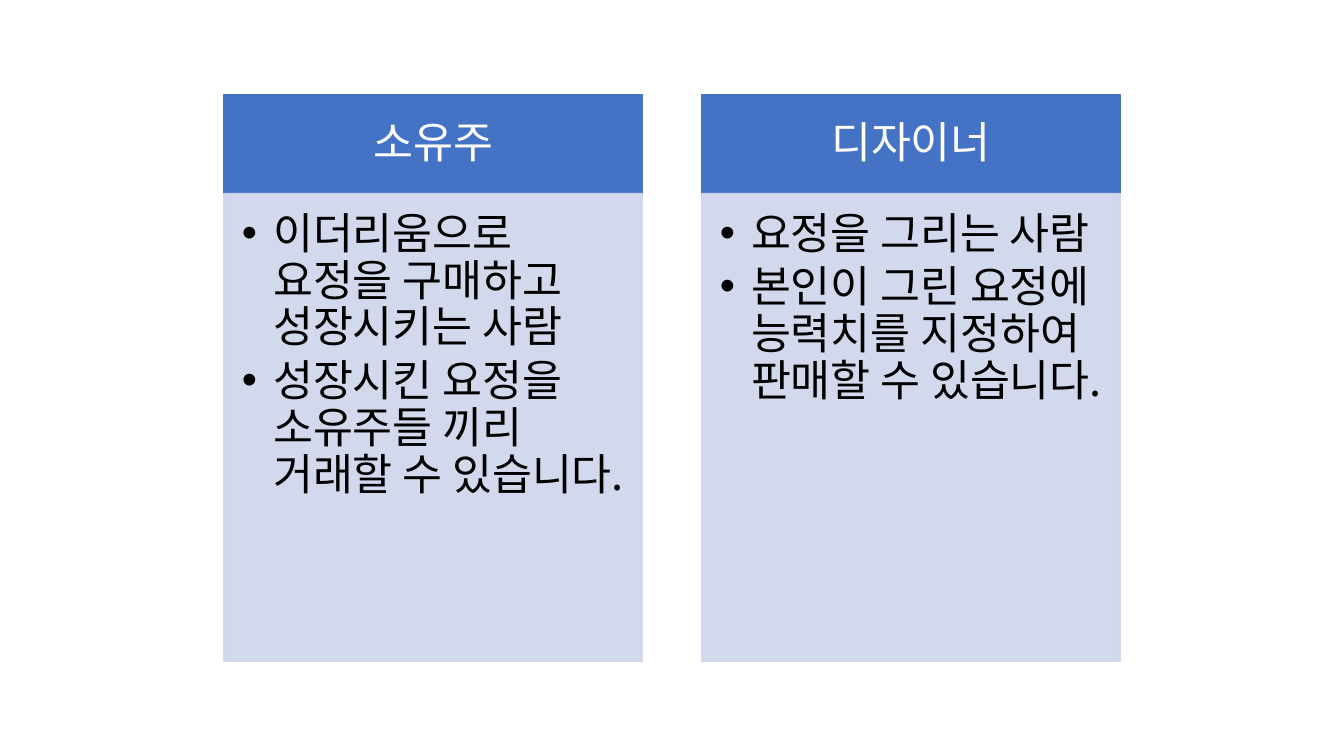
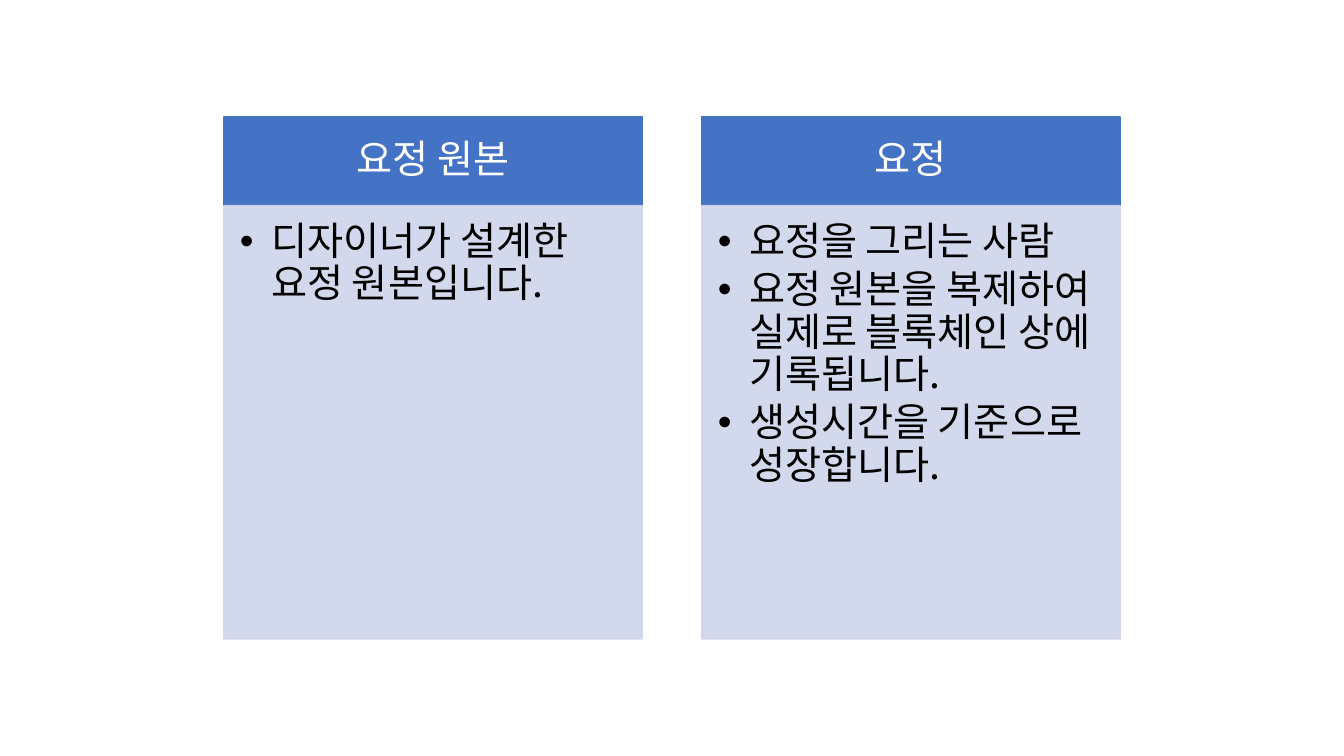
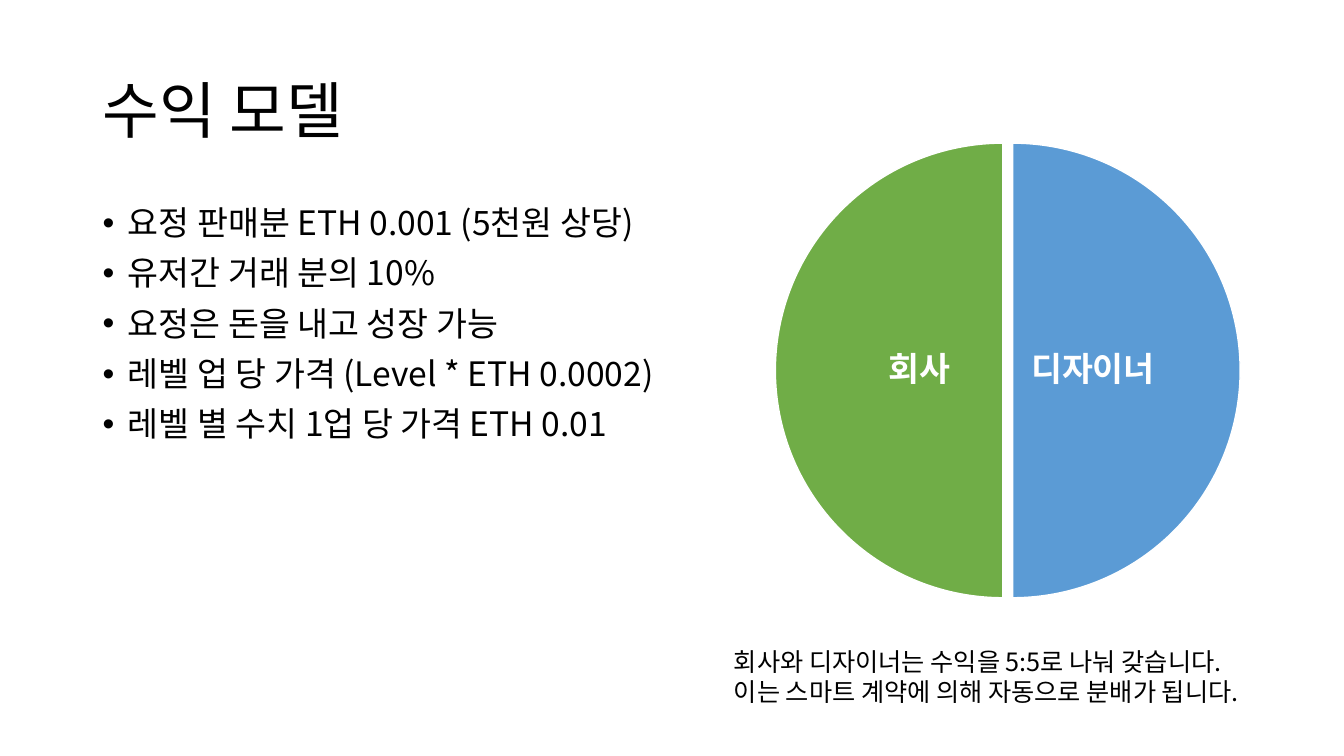
from lxml import etree
from pptx import Presentation
from pptx.dml.color import RGBColor
from pptx.enum import shapes, text
from pptx.oxml import ns
from pptx.util import Inches, Pt

FONT = "Noto Sans CJK KR"
WHITE = RGBColor(0xFF, 0xFF, 0xFF)
BLACK = RGBColor(0x00, 0x00, 0x00)
HEADER_BLUE = RGBColor(0x44, 0x72, 0xC4)
PANEL_BLUE = RGBColor(0xCF, 0xD5, 0xEA)
PIE_BLUE = RGBColor(0x5B, 0x9B, 0xD5)
PIE_GREEN = RGBColor(0x70, 0xAD, 0x47)

CARD_LEFT, CARD_WIDTH, CARD_PITCH = 2.22, 4.15, 4.74
TOP_ANGLE, BOTTOM_ANGLE = 162, 54

OWNER_CARDS = [
    ("소유주", ["이더리움으로 요정을 구매하고 성장시키는 사람",
             "성장시킨 요정을 소유주들 끼리 거래할 수 있습니다."]),
    ("디자이너", ["요정을 그리는 사람",
              "본인이 그린 요정에 능력치를 지정하여 판매할 수 있습니다."]),
]
FAIRY_CARDS = [
    ("요정 원본", ["디자이너가 설계한 요정 원본입니다."]),
    ("요정", ["요정을 그리는 사람",
            "요정 원본을 복제하여 실제로 블록체인 상에 기록됩니다.",
            "생성시간을 기준으로 성장합니다."]),
]
REVENUE_ITEMS = [
    "요정 판매분 ETH 0.001 (5천원 상당)",
    "유저간 거래 분의 10%",
    "요정은 돈을 내고 성장 가능",
    "레벨 업 당 가격 (Level * ETH 0.0002)",
    "레벨 별 수치 1업 당 가격 ETH 0.01",
]
CAPTION = ["회사와 디자이너는 수익을 5:5로 나눠 갖습니다.",
           "이는 스마트 계약에 의해 자동으로 분배가 됩니다."]


def set_bullet(paragraph, indent):
    properties = paragraph._p.get_or_add_pPr()
    properties.set("marL", str(Inches(indent)))
    properties.set("indent", str(-Inches(indent)))
    etree.SubElement(properties, ns.qn("a:buFont"), typeface="Arial")
    etree.SubElement(properties, ns.qn("a:buChar"), char="•")


def write(shape, lines, size, color=BLACK, bold=False, align=text.PP_ALIGN.LEFT,
          anchor=text.MSO_ANCHOR.TOP, insets=(0.1, 0.05, 0.1, 0.05),
          spacing=0.9, before=0, after=0, indent=None):
    """Fill a shape with one paragraph per line; insets run left, top, right, bottom."""
    frame = shape.text_frame
    frame.word_wrap = True
    frame.vertical_anchor = anchor
    (frame.margin_left, frame.margin_top,
     frame.margin_right, frame.margin_bottom) = map(Inches, insets)
    for index, line in enumerate(lines):
        paragraph = frame.add_paragraph() if index else frame.paragraphs[0]
        paragraph.text = line
        paragraph.alignment = align
        paragraph.line_spacing = spacing
        paragraph.space_before = Pt(before)
        paragraph.space_after = Pt(after)
        if indent:
            set_bullet(paragraph, indent)
        font = paragraph.font
        font.name, font.size, font.bold = FONT, Pt(size), bold
        font.color.rgb = color
        etree.SubElement(font._element, ns.qn("a:ea"), typeface=FONT)


def add_text(slide, box, lines, size, **style):
    shape = slide.shapes.add_textbox(*map(Inches, box))
    write(shape, lines, size, **style)
    return shape


def add_filled(slide, kind, box, fill, line, opacity=None):
    """Add a preset shape, its fill and line optionally see-through (opacity in percent)."""
    shape = slide.shapes.add_shape(kind, *map(Inches, box))
    shape.shadow.inherit = False
    shape.fill.solid()
    shape.fill.fore_color.rgb = fill
    shape.line.color.rgb = line
    shape.line.width = Pt(1)
    if opacity:
        for color in shape._element.spPr.iter(ns.qn("a:srgbClr")):
            etree.SubElement(color, ns.qn("a:alpha"), val=str(opacity * 1000))
    return shape


def add_card(slide, box, header_height, size, heading, items):
    """Add a header band over a bulleted panel; insets grow with the text size."""
    left, top, width, height = box
    side, edge, near, deep = (round(share * size / 72, 2)
                              for share in (0.56, 0.32, 0.42, 0.63))
    header = add_filled(slide, shapes.MSO_SHAPE.RECTANGLE,
                        (left, top, width, header_height), HEADER_BLUE, HEADER_BLUE)
    write(header, [heading], size, WHITE, align=text.PP_ALIGN.CENTER,
          anchor=text.MSO_ANCHOR.MIDDLE, insets=(side, edge, side, edge))
    panel = add_filled(slide, shapes.MSO_SHAPE.RECTANGLE,
                       (left, top + header_height, width, height - header_height),
                       PANEL_BLUE, PANEL_BLUE, opacity=90)
    write(panel, items, size, insets=(near, near, side, deep),
          after=round(0.15 * size, 1), indent=0.31)


def add_card_slide(presentation, cards, top, height, header_height, size):
    slide = presentation.slides.add_slide(presentation.slide_layouts[6])
    for column, (heading, items) in enumerate(cards):
        box = (CARD_LEFT + column * CARD_PITCH, top, CARD_WIDTH, height)
        add_card(slide, box, header_height, size, heading, items)


def add_split_pie(slide, left, top, diameter):
    """Add two half discs, 0.1 inch apart, each with its label."""
    halves = [
        ("디자이너", PIE_BLUE, 0.1, (TOP_ANGLE, BOTTOM_ANGLE), 2.36),
        ("회사", PIE_GREEN, 0, (BOTTOM_ANGLE, TOP_ANGLE), 0.64),
    ]
    for label, fill, shift, angles, label_left in halves:
        half = add_filled(slide, shapes.MSO_SHAPE.PIE,
                          (left + shift, top, diameter, diameter), fill, WHITE)
        half.adjustments[0], half.adjustments[1] = angles
        add_text(slide, (left + label_left, top + 0.67, 1.58, diameter - 1.34),
                 [label], 24, color=WHITE, bold=True, align=text.PP_ALIGN.CENTER,
                 anchor=text.MSO_ANCHOR.MIDDLE, insets=(0.03,) * 4)


def add_revenue_slide(presentation):
    slide = presentation.slides.add_slide(presentation.slide_layouts[6])
    add_text(slide, (0.92, 0.4, 11.5, 1.45), ["수익 모델"], 44,
             anchor=text.MSO_ANCHOR.MIDDLE)
    add_text(slide, (0.92, 2, 11.5, 4.76), REVENUE_ITEMS, 24, before=10, indent=0.25)
    add_split_pie(slide, 7.69, 1.42, 4.51)
    caption = add_text(slide, (7.18, 6.36, 5.79, 0.71), CAPTION, 18, spacing=1.0)
    caption.text_frame.word_wrap = False
    caption.text_frame.auto_size = text.MSO_AUTO_SIZE.SHAPE_TO_FIT_TEXT


def main():
    presentation = Presentation()
    presentation.slide_width, presentation.slide_height = Inches(13.33), Inches(7.5)
    add_card_slide(presentation, OWNER_CARDS, top=0.94, height=5.62,
                   header_height=0.98, size=31)
    add_card_slide(presentation, FAIRY_CARDS, top=1.16, height=5.18,
                   header_height=0.88, size=28)
    add_revenue_slide(presentation)
    presentation.save("out.pptx")


if __name__ == "__main__":
    main()
